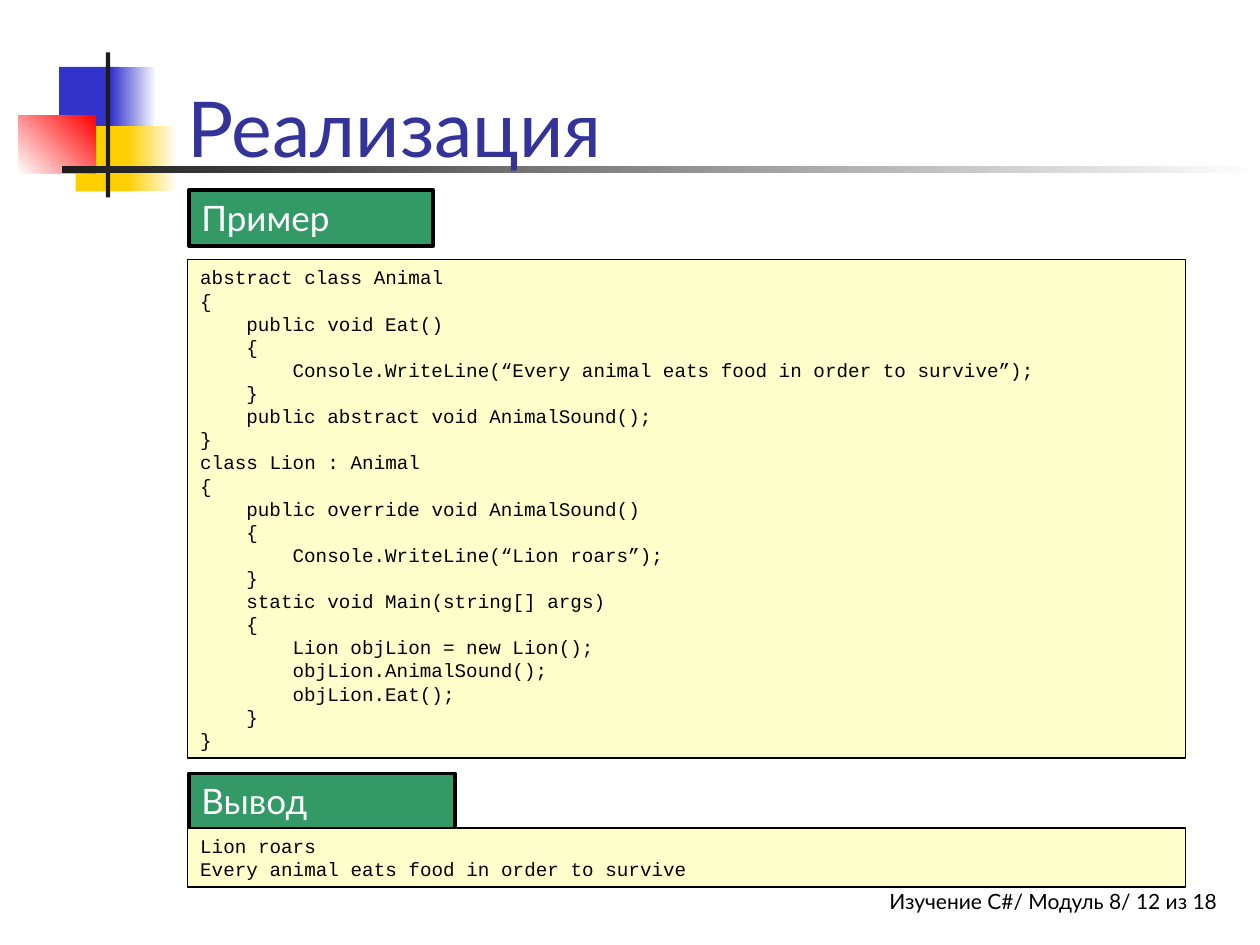
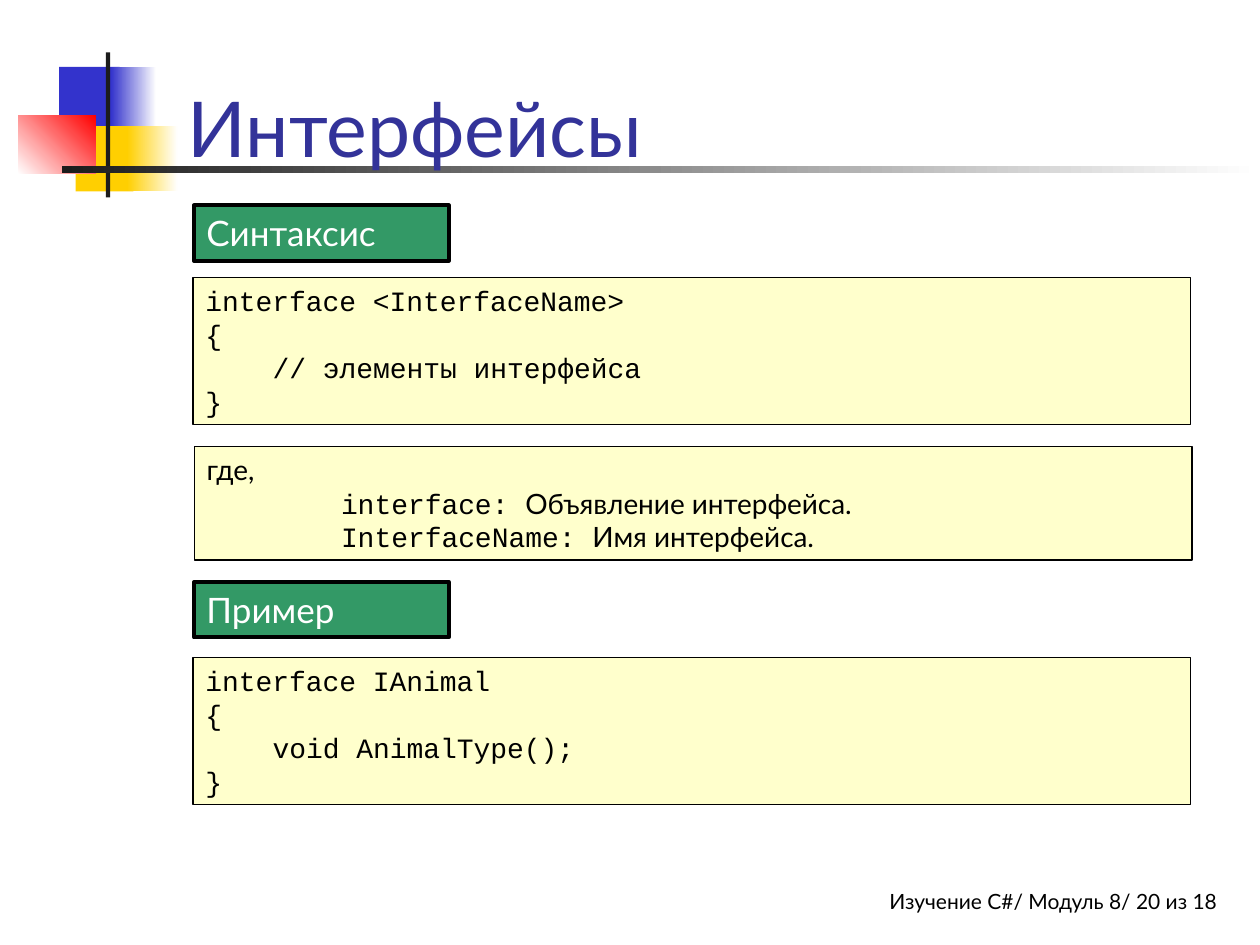
from pptx import Presentation
from pptx.dml.color import RGBColor
from pptx.enum.shapes import MSO_SHAPE
from pptx.enum.text import MSO_ANCHOR, MSO_AUTO_SIZE, PP_ALIGN
from pptx.util import Pt

RECTANGLE = MSO_SHAPE.RECTANGLE
LEFT, RIGHT = PP_ALIGN.LEFT, PP_ALIGN.RIGHT
TOP, BOTTOM = MSO_ANCHOR.TOP, MSO_ANCHOR.BOTTOM
NO_AUTOFIT = MSO_AUTO_SIZE.NONE

TEXT_FONT, CODE_FONT = "Lato", "Courier New"
BLACK, WHITE, CHARCOAL = "000000", "FFFFFF", "1C1C1C"
TITLE_BLUE, BLUE, YELLOW, RED = "333399", "3333CC", "FFCF01", "FF0000"
LABEL_GREEN, CODE_CREAM = "339966", "FFFFCC"

TITLE_BOX = (100, 12.24, 613.5, 90)
FOOTER_BOX = (329.8, 504, 365.8, 23.8)
LABEL_HEIGHT, PANEL_WIDTH = 31.7, 570.2
CODE_CHARACTER = 0.6  # width of a Courier New letter, in font sizes
LINE_HEIGHT = 1.2     # height of a line, in font sizes
DEFINITION_INDENT = 76.8

# Master motif: box, colours (two make a gradient), gradient angle
MOTIF = [
    ((33.8, 38.2, 34.6, 37.4), [BLUE], 0),
    ((63.4, 38.2, 25.9, 37.4), [BLUE, WHITE], 0),
    ((43.2, 72, 33.1, 37.4), [YELLOW], 0),
    ((72.7, 72, 28.8, 37.4), [YELLOW, WHITE], 0),
    ((10.4, 66, 44.4, 33.4), [WHITE, RED], 45),
    ((60.5, 30, 2.5, 82.8), [CHARCOAL], 0),
    ((35.3, 95, 684.7, 4.2), [CHARCOAL, WHITE], 0),
]

ANIMAL_CODE = """abstract class Animal
{
    public void Eat()
    {
        Console.WriteLine(“Every animal eats food in order to survive”);
    }
    public abstract void AnimalSound();
}
class Lion : Animal
{
    public override void AnimalSound()
    {
        Console.WriteLine(“Lion roars”);
    }
    static void Main(string[] args)
    {
        Lion objLion = new Lion();
        objLion.AnimalSound();
        objLion.Eat();
    }
}"""

ANIMAL_OUTPUT = """Lion roars
Every animal eats food in order to survive"""

INTERFACE_SYNTAX = """interface <InterfaceName>
{
    // элементы интерфейса
}"""

INTERFACE_EXAMPLE = """interface IAnimal
{
    void AnimalType();
}"""

DEFINITIONS = [("interface: ", "Объявление интерфейса."),
               ("InterfaceName: ", "Имя интерфейса.")]


def color(hex_string):
    return RGBColor.from_string(hex_string)


def points(box):
    return [Pt(length) for length in box]


def set_font(font, name, size, hex_string):
    font.name, font.size = name, Pt(size)
    font.color.rgb = color(hex_string)


def add_rectangle(slide, box, fills, angle=0, line_width=None):
    shape = slide.shapes.add_shape(RECTANGLE, *points(box))
    shape.shadow.inherit = False
    if len(fills) == 1:
        shape.fill.solid()
        shape.fill.fore_color.rgb = color(fills[0])
    else:
        shape.fill.gradient()
        shape.fill.gradient_angle = angle
        for stop, hex_string in zip(shape.fill.gradient_stops, fills):
            stop.color.rgb = color(hex_string)
    if line_width:
        shape.line.color.rgb = color(BLACK)
        shape.line.width = Pt(line_width)
    else:
        shape.line.fill.background()
    return shape


def add_label(slide, left, top, width, text):
    label = add_rectangle(slide, (left, top, width, LABEL_HEIGHT),
                          [LABEL_GREEN], line_width=2.25)
    frame = label.text_frame
    frame.vertical_anchor = TOP
    frame.text = text
    paragraph = frame.paragraphs[0]
    paragraph.alignment = LEFT
    set_font(paragraph.font, TEXT_FONT, 20, WHITE)


def add_panel(slide, left, top, height, size, lines):
    """Each line is an indent and a list of (text, font name) runs."""
    panel = add_rectangle(slide, (left, top, PANEL_WIDTH, height),
                          [CODE_CREAM], line_width=0.75)
    frame = panel.text_frame
    frame.vertical_anchor = TOP
    for index, (indent, runs) in enumerate(lines):
        paragraph = frame.add_paragraph() if index else frame.paragraphs[0]
        paragraph.alignment = LEFT
        paragraph.line_spacing = Pt(size * LINE_HEIGHT)
        paragraph._p.get_or_add_pPr().set("marL", str(Pt(indent)))
        set_font(paragraph.font, runs[0][1], size, BLACK)
        for text, font_name in runs:
            run = paragraph.add_run()
            run.text = text
            if font_name != runs[0][1]:
                run.font.name = font_name


def add_code(slide, left, top, height, size, code):
    lines = []
    for line in code.splitlines():
        text = line.lstrip()
        indent = (len(line) - len(text)) * size * CODE_CHARACTER
        lines.append((indent, [(text, CODE_FONT)]))
    add_panel(slide, left, top, height, size, lines)


def add_definitions(slide, left, top, height, size):
    lines = [(0, [("где,", TEXT_FONT)])]
    for term, meaning in DEFINITIONS:
        runs = [(term, CODE_FONT), (meaning, TEXT_FONT)]
        lines.append((DEFINITION_INDENT, runs))
    add_panel(slide, left, top, height, size, lines)


def add_footer(slide, number):
    footer = slide.shapes.add_textbox(*points(FOOTER_BOX))
    frame = footer.text_frame
    frame.word_wrap = True
    frame.margin_right = 0
    frame.text = f"Изучение C#/ Модуль 8/ {number} из 18"
    paragraph = frame.paragraphs[0]
    paragraph.alignment = RIGHT
    set_font(paragraph.font, TEXT_FONT, 12, BLACK)


def add_title(slide, text):
    title = slide.shapes.title
    title.left, title.top, title.width, title.height = points(TITLE_BOX)
    frame = title.text_frame
    frame.text = text
    frame.vertical_anchor = BOTTOM
    frame.auto_size = NO_AUTOFIT
    paragraph = frame.paragraphs[0]
    paragraph.alignment = LEFT
    set_font(paragraph.font, TEXT_FONT, 44, TITLE_BLUE)
    # Bring the title in front of the motif
    slide.shapes._spTree.append(title._element)


def add_base_slide(presentation, title, number):
    slide = presentation.slides.add_slide(presentation.slide_layouts[5])
    add_footer(slide, number)
    for box, fills, angle in MOTIF:
        add_rectangle(slide, box, fills, angle)
    add_title(slide, title)
    return slide


def add_implementation_slide(presentation):
    slide = add_base_slide(presentation, "Реализация", 12)
    add_label(slide, 108, 442, 152, "Вывод")
    add_label(slide, 108, 108.7, 139.7, "Пример")
    add_code(slide, 107.3, 473.2, 33.8, 11, ANIMAL_OUTPUT)
    add_code(slide, 107.3, 148.3, 284.8, 11, ANIMAL_CODE)


def add_interfaces_slide(presentation):
    slide = add_base_slide(presentation, "Интерфейсы", 20)
    for top, text in ((332.6, "Пример"), (117.4, "Синтаксис")):
        add_label(slide, 110.9, top, 145.6, text)
    for top, code in ((375.8, INTERFACE_EXAMPLE), (158.6, INTERFACE_SYNTAX)):
        add_code(slide, 110.3, top, 84, 16, code)
    add_definitions(slide, 111, 255.2, 64.8, 16)


def main():
    presentation = Presentation()
    presentation.slide_width, presentation.slide_height = Pt(720), Pt(540)
    add_implementation_slide(presentation)
    add_interfaces_slide(presentation)
    presentation.save("out.pptx")


if __name__ == "__main__":
    main()
